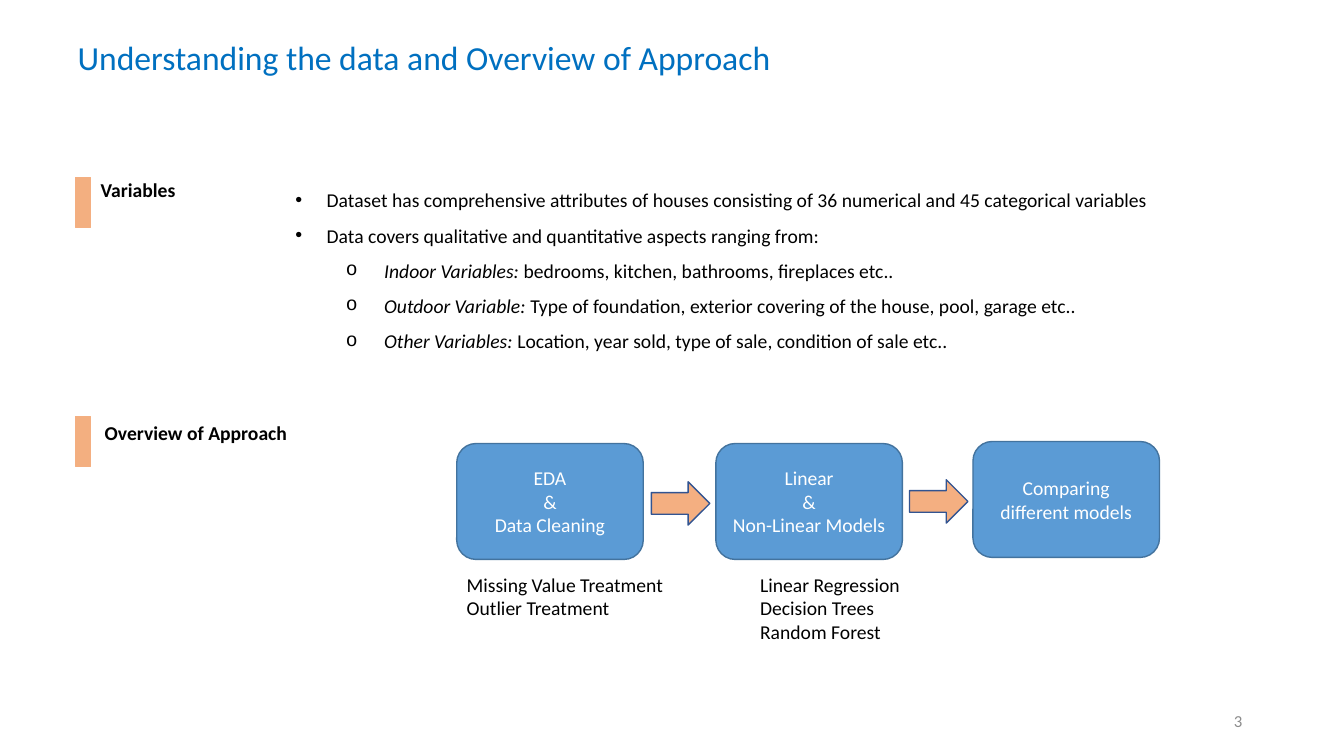
"""Build the slide on the housing data and the modelling approach."""
from lxml.etree import SubElement
from pptx import Presentation
from pptx.dml.color import RGBColor
from pptx.enum.shapes import MSO_SHAPE
from pptx.enum.text import MSO_ANCHOR, MSO_AUTO_SIZE, PP_ALIGN
from pptx.oxml.ns import qn
from pptx.util import Inches, Pt

COLORS = {"title": "0070C0", "text": "000000", "white": "FFFFFF",
          "accent": "ED7D31", "peach": "F4AF81", "box": "5B9BD5",
          "box_line": "43739E", "arrow_line": "325491", "number": "8C8C8C"}


def write(tf, text, color="text", size=14, bold=False, align=PP_ALIGN.LEFT):
    tf.word_wrap = True
    tf.auto_size = MSO_AUTO_SIZE.NONE
    tf.text = text
    for p in tf.paragraphs:
        p.alignment = align
        for r in p.runs:
            r.font.name = "Calibri"
            r.font.size = Pt(size)
            r.font.bold = bold
            r.font.color.rgb = RGBColor.from_string(COLORS[color])


def add_box(kind, box, fill, line):
    sp = s.shapes.add_shape(kind, *map(Inches, box))
    sp.shadow.inherit = False
    sp.fill.solid()
    sp.fill.fore_color.rgb = RGBColor.from_string(COLORS[fill])
    sp.line.color.rgb = RGBColor.from_string(COLORS[line])
    sp.line.width = Pt(1)
    return sp


prs = Presentation()
prs.slide_width, prs.slide_height = Inches(13.33), Inches(7.5)
s = prs.slides.add_slide(prs.slide_layouts[1])

title, body = s.placeholders
title.left, title.top, title.width, title.height = map(Inches, (0.67, 0.15, 12, 0.88))
write(title.text_frame, "Understanding the data and Overview of Approach", "title", 24)
title.text_frame.vertical_anchor = MSO_ANCHOR.MIDDLE
title.text_frame.paragraphs[0].line_spacing = 0.9

for top in (1.76, 4.13):
    sp = add_box(MSO_SHAPE.RECTANGLE, (0.75, top, 0.15, 0.5), "accent", "peach")
    clr = sp.fill._xPr.find(qn("a:solidFill")).find(qn("a:srgbClr"))
    SubElement(clr, qn("a:alpha"), val="61000")

bullets = [
    (0, "", "Dataset has comprehensive attributes of houses consisting of "
            "36 numerical and 45 categorical variables"),
    (0, "", "Data covers qualitative and quantitative aspects ranging from:"),
    (1, "Indoor Variables: ", "bedrooms, kitchen, bathrooms, fireplaces etc.."),
    (1, "Outdoor Variable: ", "Type of foundation, exterior covering of the house, pool, garage etc.."),
    (1, "Other Variables: ", "Location, year sold, type of sale, condition of sale etc.."),
]
levels = [(0.31, 0.31, "Arial", "•"), (0.88, 0.38, "Courier New", "o")]
body.left, body.top, body.width, body.height = map(Inches, (2.83, 1.7, 9.96, 1.87))
tf = body.text_frame
write(tf, "\n".join(lead or text for _, lead, text in bullets))
for p, (level, lead, text) in zip(tf.paragraphs, bullets):
    margin, hang, font, char = levels[level]
    p.level = level
    p.line_spacing = 1.5
    p.space_before = Pt(0)
    if lead:
        p.runs[0].font.italic = True
        r = p.add_run()
        r.text = text
        r.font.name, r.font.size = "Calibri", Pt(14)
        r.font.color.rgb = RGBColor.from_string(COLORS["text"])
    pPr = p._p.get_or_add_pPr()
    pPr.set("marL", str(Inches(margin)))
    pPr.set("indent", str(-Inches(hang)))
    SubElement(pPr, qn("a:buFont"), typeface=font)
    SubElement(pPr, qn("a:buChar"), char=char)

steps = [(4.53, 4.4, "EDA\n&\nData Cleaning"),
         (7.1, 4.4, "Linear\n&\nNon-Linear Models"),
         (9.65, 4.38, "Comparing different models")]
for left, top, text in steps:
    sp = add_box(MSO_SHAPE.ROUNDED_RECTANGLE, (left, top, 1.85, 1.15), "box", "box_line")
    write(sp.text_frame, text, "white", align=PP_ALIGN.CENTER)
    sp.text_frame.vertical_anchor = MSO_ANCHOR.MIDDLE

for left, top in ((6.46, 4.78), (9.02, 4.76)):
    add_box(MSO_SHAPE.RIGHT_ARROW, (left, top, 0.58, 0.43), "peach", "arrow_line")

labels = [
    ((0.9, 1.72, 1.56, 0.34), "Variables", True),
    ((0.94, 4.13, 2.17, 0.34), "Overview of Approach", True),
    ((7.44, 5.63, 2.72, 0.81), "Linear Regression\nDecision Trees\nRandom Forest", False),
    ((4.53, 5.63, 2.24, 0.57), "Missing Value Treatment\nOutlier Treatment", False),
]
for box, text, bold in labels:
    sp = s.shapes.add_textbox(*map(Inches, box))
    write(sp.text_frame, text, bold=bold)

number = s.shapes.add_textbox(*map(Inches, (9.42, 6.95, 3, 0.4)))
write(number.text_frame, "3", "number", 12, align=PP_ALIGN.RIGHT)
number.text_frame.vertical_anchor = MSO_ANCHOR.MIDDLE

prs.save("out.pptx")
